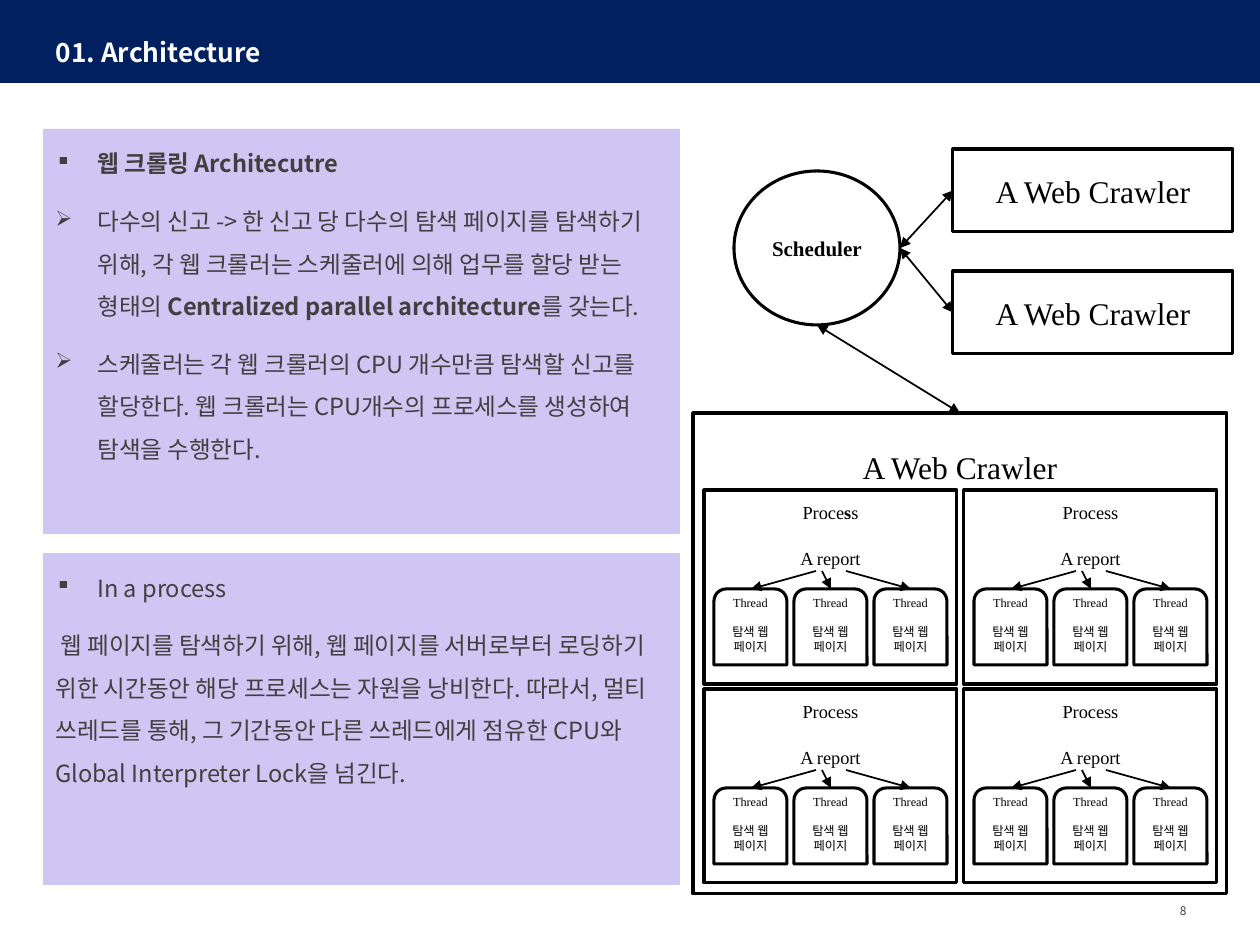
from lxml import etree
from pptx import Presentation
from pptx import util as u
from pptx.dml.color import RGBColor
from pptx.enum import shapes, text
from pptx.oxml import ns

NAVY = RGBColor(0x00, 0x20, 0x60)
LILAC = RGBColor(0xD0, 0xC6, 0xF3)
GRAY = RGBColor(0x40, 0x40, 0x40)
BLACK = RGBColor(0x00, 0x00, 0x00)
WHITE = RGBColor(0xFF, 0xFF, 0xFF)
SANS = "Noto Sans CJK KR"
SERIF = "Times New Roman"
KIND = shapes.MSO_SHAPE
ALIGN = text.PP_ALIGN
ANCHOR = text.MSO_ANCHOR


def px(*nums):
    """Turn lengths in px into EMU."""
    return [u.Emu(round(n * 914400 / 126)) for n in nums]


def add_run(para, words, size, font, color, bold=False):
    """Add one styled run to a paragraph."""
    run = para.add_run()
    run.text = words
    run.font.size = u.Pt(size)
    run.font.name = font
    run.font.bold = bold
    run.font.color.rgb = color
    east = etree.SubElement(run.font._element, ns.qn("a:ea"))
    east.set("typeface", SANS)


def add_para(frame, runs, size, font, color, align=ALIGN.LEFT, before=0, after=0):
    """Fill the first empty paragraph, or add one, with (words, bold) runs."""
    para = frame.paragraphs[0]
    if para.runs:
        para = frame.add_paragraph()
    para.alignment = align
    para.space_before = u.Pt(before)
    para.space_after = u.Pt(after)
    for words, bold in runs:
        add_run(para, words, size, font, color, bold)
    return para


def add_bullet(para, char):
    """Give a paragraph a hanging bullet."""
    props = para._p.get_or_add_pPr()
    hang = px(42)[0]
    props.set("marL", str(hang))
    props.set("indent", str(-hang))
    etree.SubElement(props, ns.qn("a:buSzPct")).set("val", "92000")
    etree.SubElement(props, ns.qn("a:buChar")).set("char", char)


def add_fill(parent, box, color):
    """Add a plain filled rectangle."""
    shape = parent.add_shape(KIND.RECTANGLE, *px(*box))
    shape.shadow.inherit = False
    shape.fill.solid()
    shape.fill.fore_color.rgb = color
    shape.line.fill.background()


def add_node(parent, box, lines, kind=KIND.RECTANGLE, top=None):
    """Add an outlined node; lines hold runs, size and space before."""
    node = parent.add_shape(kind, *px(*box))
    node.shadow.inherit = False
    node.fill.solid()
    node.fill.fore_color.rgb = WHITE
    node.line.color.rgb = BLACK
    node.line.width = u.Pt(1.75)
    frame = node.text_frame
    frame.word_wrap = True
    frame.vertical_anchor = ANCHOR.MIDDLE
    if top is not None:
        frame.vertical_anchor = ANCHOR.TOP
        frame.margin_top = px(top)[0]
    for runs, size, before in lines:
        add_para(frame, runs, size, SERIF, BLACK, ALIGN.CENTER, before)
    return node


def add_arrow(parent, start, end, both=False):
    """Add a straight arrow, with a second head if both is set."""
    link = parent.add_connector(shapes.MSO_CONNECTOR.STRAIGHT, *px(*start, *end))
    link.line.color.rgb = BLACK
    link.line.width = u.Pt(1)
    line = link.line._get_or_add_ln()
    for tag in ("headEnd", "tailEnd") if both else ("tailEnd",):
        etree.SubElement(line, ns.qn("a:" + tag)).set("type", "triangle")
    etree.SubElement(link._element.spPr, ns.qn("a:effectLst"))
    return link


def add_header(slide, box):
    """Draw the top band and place the title on it."""
    left, top, wide, high = box
    add_fill(slide.shapes, box, NAVY)
    title = slide.shapes.title
    title.left, title.top, title.width, title.height = px(left + 43, top + 30, 638, 52)
    tree = title.element.getparent()
    tree.append(title.element)
    frame = title.text_frame
    frame.vertical_anchor = ANCHOR.TOP
    frame.auto_size = text.MSO_AUTO_SIZE.NONE
    add_para(frame, [("01. Architecture", True)], 15, SANS, WHITE, before=3, after=6)


def add_panel(slide, box, items):
    """Draw a lilac panel with (bullet, runs) paragraphs."""
    add_fill(slide.shapes, box, LILAC)
    frame = slide.shapes.add_textbox(*px(*box)).text_frame
    frame.word_wrap = True
    for char, runs in items:
        para = add_para(frame, runs, 13.5, SANS, GRAY, before=2.7, after=6)
        para.line_spacing = u.Pt(24.3)
        if char:
            add_bullet(para, char)


def add_process(slide, box, name):
    """Draw one process with a report feeding three threads."""
    left, top, wide, high = box
    group = slide.shapes.add_group_shape().shapes
    lines = [(name, 10.5, 0), ([("A report", False)], 10.5, 13.6)]
    add_node(group, box, lines, top=11)
    lines = [([("Thread", False)], 7, 0), ([("탐색 웹 페이지", False)], 7, 8)]
    for num, start in enumerate((112, 118, 142)):
        side = left + 10 + 80 * num
        add_node(group, (side, top + 99, 73, 76), lines, KIND.ROUND_2_SAME_RECTANGLE, 3)
        add_arrow(group, (left + start, top + 81), (side + 37, top + 99))


def add_crawler(slide, box):
    """Draw the detailed crawler with its grid of processes."""
    left, top, wide, high = box
    node = add_node(slide.shapes, box, [([("A Web Crawler", False)], 18, 0)], top=35)
    plain = [("Process", False)]
    mixed = [("Proce", False), ("s", True), ("s", False)]
    for col in range(2):
        for row in range(2):
            spot = (left + 11 + 260 * col, top + 77 + 199 * row, 253, 194)
            add_process(slide, spot, plain if col or row else mixed)
    return node


def add_diagram(slide, box):
    """Draw the scheduler, its crawlers and the links between them."""
    left, top, wide, high = box
    lines = [([("Scheduler", True)], 12, 0)]
    add_node(slide.shapes, (left + 41, top + 22, 166, 154), lines, KIND.OVAL)
    main = add_crawler(slide, (left, top + 264, 534, 481))
    link = add_arrow(slide.shapes, (left + 124, top + 176), (left + 267, top + 264), True)
    link.end_connect(main, 0)
    for row in range(2):
        spot = (left + 260, top + 122 * row, 280, 83)
        node = add_node(slide.shapes, spot, [([("A Web Crawler", False)], 18, 0)])
        end = (spot[0], spot[1] + 42)
        link = add_arrow(slide.shapes, (left + 207, top + 99), end, True)
        link.end_connect(node, 1)


def add_number(slide, box):
    """Place the page number."""
    frame = slide.shapes.add_textbox(*px(*box)).text_frame
    frame.word_wrap = True
    frame.vertical_anchor = ANCHOR.MIDDLE
    add_para(frame, [("8", False)], 6.8, SANS, GRAY, ALIGN.RIGHT)


def main():
    """Build the slide and save it."""
    deck = Presentation()
    deck.slide_width, deck.slide_height = px(1260, 945)
    slide = deck.slides.add_slide(deck.slide_layouts[5])
    add_header(slide, (0, 0, 1260, 83))
    add_panel(slide, (43, 129, 637, 405), [
        ("▪", [("웹 크롤링 Architecutre", True)]),
        ("➢", [("다수의 신고 -> 한 신고 당 다수의 탐색 페이지를 탐색하기 위해, "
                "각 웹 크롤러는 스케줄러에 의해 업무를 할당 받는 형태의 ", False),
               ("Centralized parallel architecture", True),
               ("를 갖는다.", False)]),
        ("➢", [("스케줄러는 각 웹 크롤러의 CPU 개수만큼 탐색할 신고를 할당한다. "
                "웹 크롤러는 CPU개수의 프로세스를 생성하여 탐색을 수행한다.", False)]),
    ])
    add_panel(slide, (43, 553, 637, 332), [
        ("▪", [("In a process", False)]),
        ("", [(" 웹 페이지를 탐색하기 위해, 웹 페이지를 서버로부터 로딩하기 위한 시간동안 "
               "해당 프로세스는 자원을 낭비한다. 따라서, 멀티 쓰레드를 통해, 그 기간동안 "
               "다른 쓰레드에게 점유한 CPU와 Global Interpreter Lock을 넘긴다.", False)]),
    ])
    add_diagram(slide, (693, 149, 540, 745))
    add_number(slide, (1091, 886, 108, 50))
    deck.save("out.pptx")


if __name__ == "__main__":
    main()
